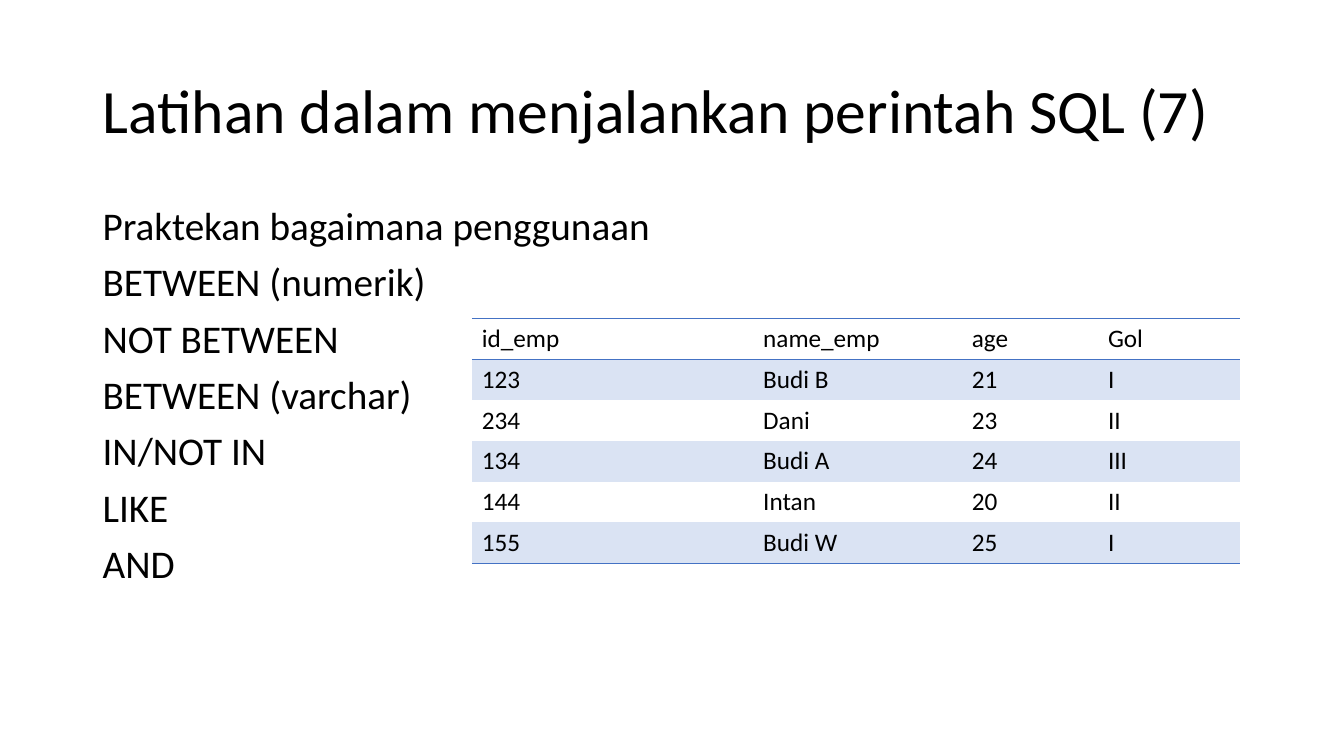
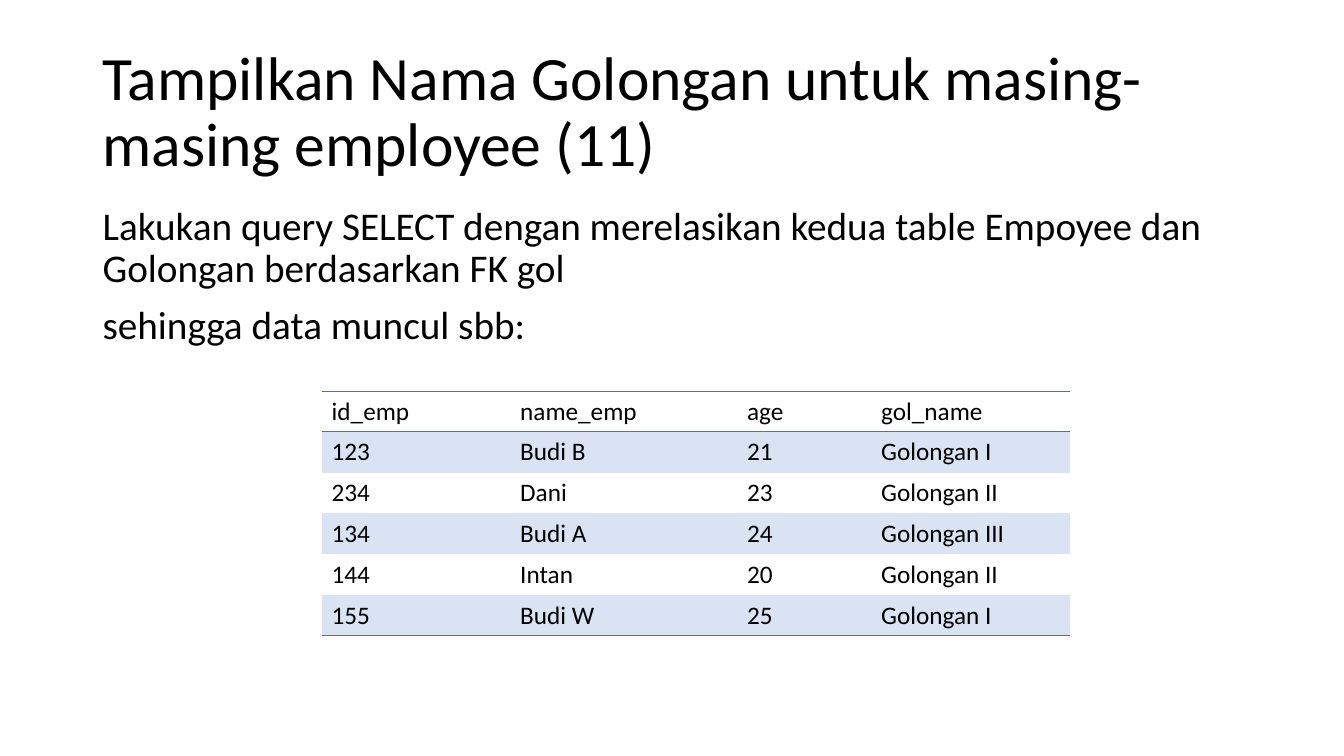
from lxml import etree
from pptx import Presentation
from pptx.dml.color import RGBColor
from pptx.enum.text import MSO_ANCHOR
from pptx.oxml.ns import qn
from pptx.util import Inches, Pt

TOP, MIDDLE = MSO_ANCHOR.TOP, MSO_ANCHOR.MIDDLE
FONT = "Calibri"
BLACK, BLUE, BAND = "000000", "4472C4", "DAE3F3"
NO_STYLE = "{2D5ABB26-0587-4C30-8999-92F81FD0307C}"
LEFT, WIDTH = 0.92, 11.5
ROW_HEIGHT = 0.405

EMPLOYEES = [
    ("123", "Budi B", "21", "I"),
    ("234", "Dani", "23", "II"),
    ("134", "Budi A", "24", "III"),
    ("144", "Intan", "20", "II"),
    ("155", "Budi W", "25", "I"),
]

SLIDES = [
    {
        "title": "Latihan dalam menjalankan perintah SQL (7)",
        "body": ["Praktekan bagaimana penggunaan", "BETWEEN (numerik)", "NOT BETWEEN",
                 "BETWEEN (varchar)", "IN/NOT IN", "LIKE", "AND"],
        "at": (4.68, 3.16),
        "widths": [2.79, 2.07, 1.35, 1.41],
        "last_header": "Gol",
        "prefix": "",
    },
    {
        "title": "Tampilkan Nama Golongan untuk masing-masing employee (11)",
        "body": ["Lakukan query SELECT dengan merelasikan kedua table Empoyee dan "
                 "Golongan berdasarkan FK gol",
                 "sehingga data muncul sbb:"],
        "at": (3.19, 3.88),
        "widths": [1.87, 2.25, 1.33, 1.97],
        "last_header": "gol_name",
        "prefix": "Golongan ",
    },
]


def write(tf, lines, size, anchor=TOP, line_spacing=None, space_before=0):
    tf.word_wrap = True
    tf.vertical_anchor = anchor
    for i, line in enumerate(lines):
        p = tf.paragraphs[0] if i == 0 else tf.add_paragraph()
        p.line_spacing = line_spacing
        p.space_before = Pt(space_before)
        r = p.add_run()
        r.text = line
        r.font.name = FONT
        r.font.size = Pt(size)
        r.font.color.rgb = RGBColor.from_string(BLACK)


def add_borders(cell, sides):
    """Draw the listed sides; call before filling, as lines come first in tcPr."""
    tcPr = cell._tc.get_or_add_tcPr()
    for side in sides:
        ln = etree.SubElement(tcPr, qn(f"a:ln{side}"), w=str(Pt(1)))
        fill = etree.SubElement(ln, qn("a:solidFill"))
        etree.SubElement(fill, qn("a:srgbClr"), val=BLUE)


prs = Presentation()
prs.slide_width, prs.slide_height = Inches(13.33), Inches(7.5)

for content in SLIDES:
    slide = prs.slides.add_slide(prs.slide_layouts[6])

    title = slide.shapes.add_textbox(Inches(LEFT), Inches(0.4), Inches(WIDTH), Inches(1.45))
    write(title.text_frame, [content["title"]], 44, anchor=MIDDLE, line_spacing=0.9)
    body = slide.shapes.add_textbox(Inches(LEFT), Inches(2), Inches(WIDTH), Inches(4.76))
    write(body.text_frame, content["body"], 28, line_spacing=0.9, space_before=10)

    rows = [("id_emp", "name_emp", "age", content["last_header"])]
    rows += [(*row[:3], content["prefix"] + row[3]) for row in EMPLOYEES]
    x, y = content["at"]
    widths = content["widths"]
    table = slide.shapes.add_table(len(rows), len(widths), Inches(x), Inches(y),
                                   Inches(sum(widths)), Inches(ROW_HEIGHT * len(rows))).table
    table.horz_banding = False
    table._tbl.tblPr.find(qn("a:tableStyleId")).text = NO_STYLE
    for column, width in zip(table.columns, widths):
        column.width = Inches(width)

    for i, row in enumerate(rows):
        table.rows[i].height = Inches(ROW_HEIGHT)
        for j, text in enumerate(row):
            cell = table.cell(i, j)
            write(cell.text_frame, [text], 18)
            if i == 0:
                add_borders(cell, "TB")
            elif i == len(rows) - 1:
                add_borders(cell, "B")
            if i % 2:
                cell.fill.solid()
                cell.fill.fore_color.rgb = RGBColor.from_string(BAND)
            else:
                cell.fill.background()

prs.save("out.pptx")
